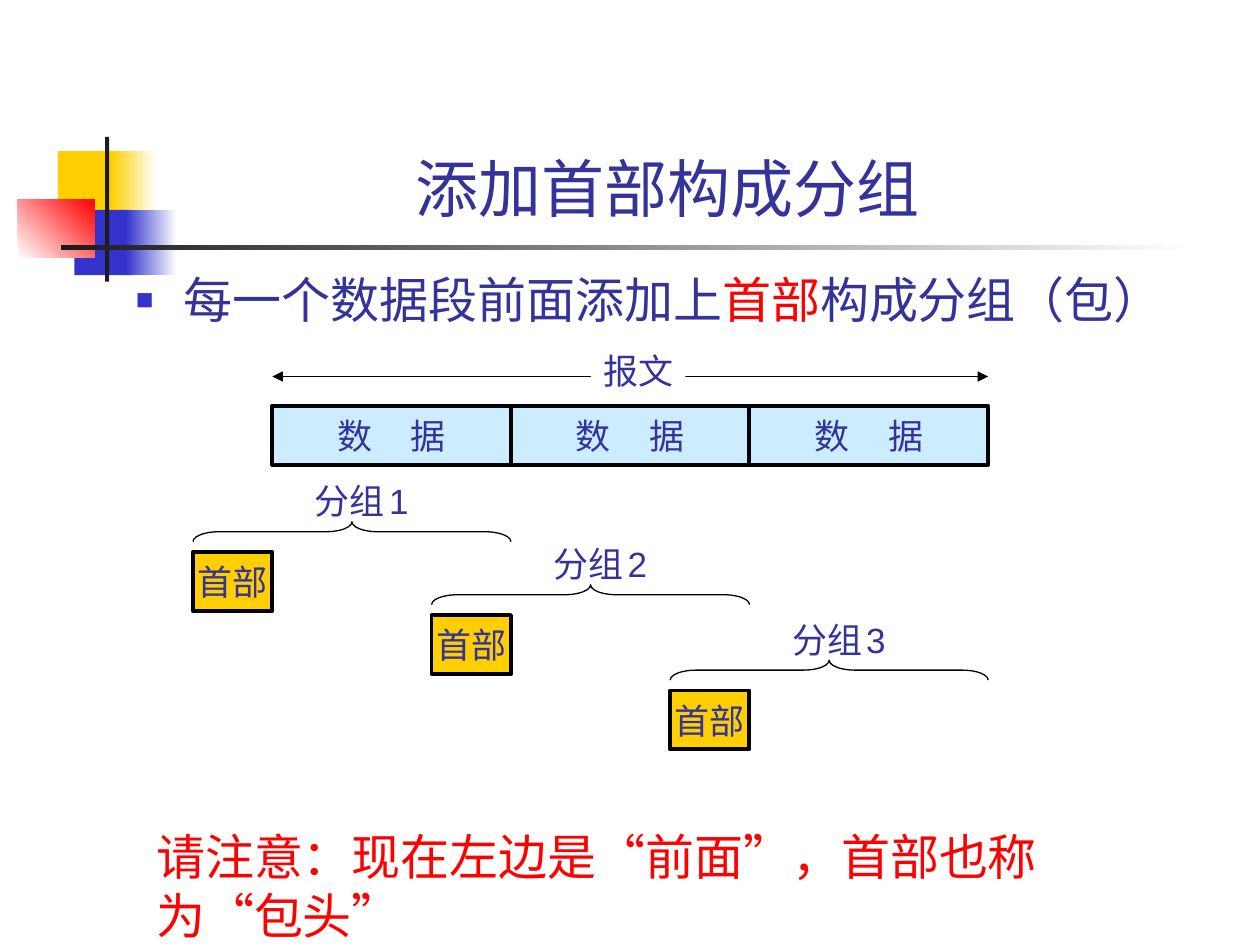
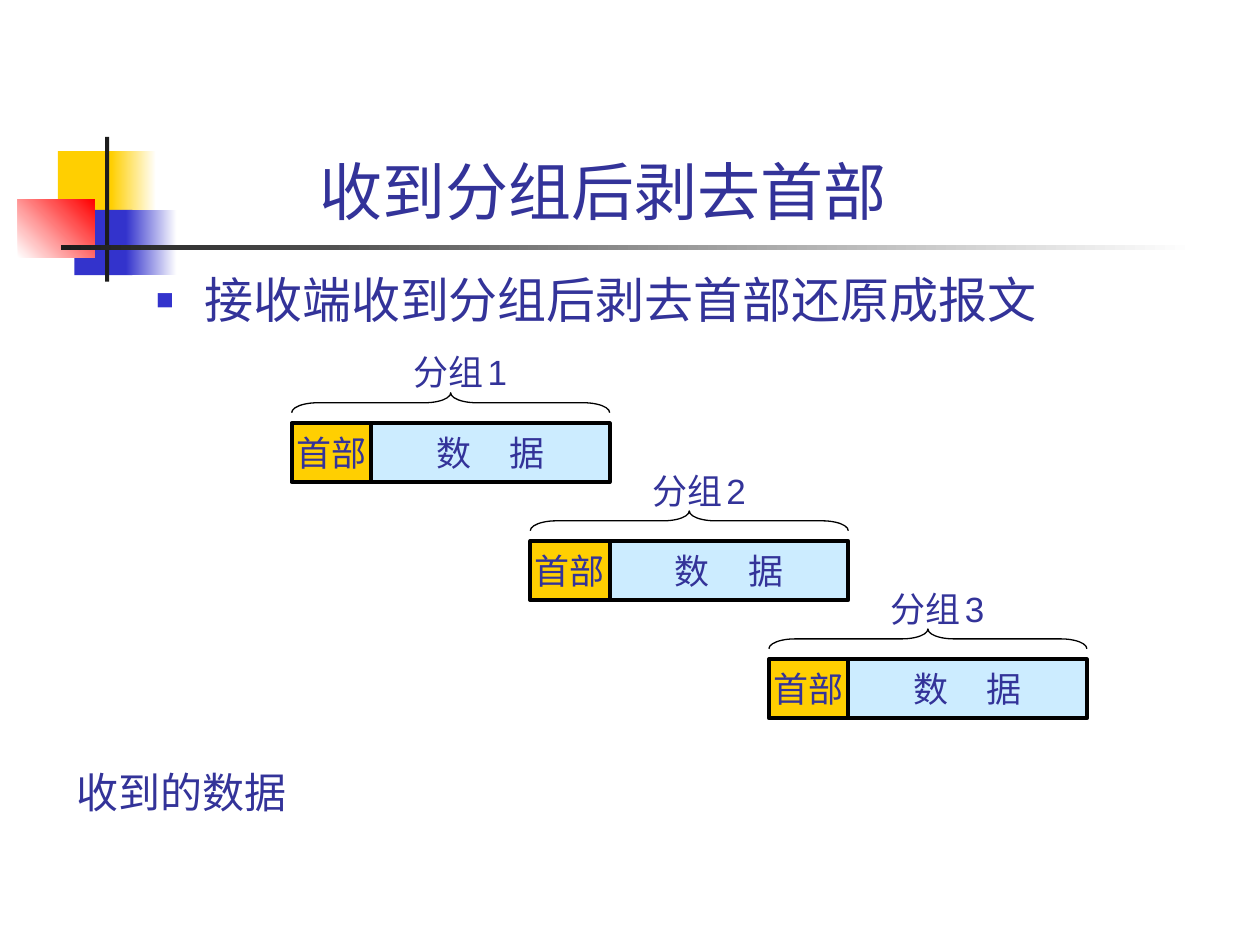
from lxml import etree
from pptx import Presentation
from pptx.dml.color import RGBColor
from pptx.enum.shapes import MSO_CONNECTOR, MSO_SHAPE
from pptx.enum.text import MSO_ANCHOR as Anchor, PP_ALIGN as Align
from pptx.oxml.ns import qn
from pptx.util import Cm, Pt

NAVY = RGBColor(0x33, 0x33, 0x99)
BLUE = RGBColor(0x33, 0x33, 0xCC)
RED = RGBColor(0xFF, 0x00, 0x00)
GOLD = RGBColor(0xFF, 0xCF, 0x01)
SKY = RGBColor(0xCC, 0xEC, 0xFF)
CHARCOAL = RGBColor(0x1C, 0x1C, 0x1C)
BLACK = RGBColor(0x00, 0x00, 0x00)
WHITE = RGBColor(0xFF, 0xFF, 0xFF)

ARIAL, KARLA, TIMES = "Arial", "Karla", "Times New Roman"

HEADER_WIDTH = 1.6
DATA_WIDTH = 4.81
BOX_HEIGHT = 1.19
BRACE_DEPTH = 0.4


def write(shape, runs, align=Align.LEFT, anchor=Anchor.TOP, wrap=True):
    """Fill the shape with one paragraph of (text, size, font, colour) runs."""
    frame = shape.text_frame
    frame.word_wrap = wrap
    frame.vertical_anchor = anchor
    paragraph = frame.paragraphs[0]
    paragraph.alignment = align
    for text, size, font, colour in runs:
        run = paragraph.add_run()
        run.text = text
        run.font.size = Pt(size)
        run.font.name = font
        run.font.color.rgb = colour
    return paragraph


def add_text(slide, left, top, width, height, runs, **layout):
    box = slide.shapes.add_textbox(Cm(left), Cm(top), Cm(width), Cm(height))
    write(box, runs, **layout)
    return box


def add_block(slide, left, top, width, height, colour, fade_to=None, angle=0):
    """Draw a borderless rectangle, plain or fading into a second colour."""
    block = slide.shapes.add_shape(
        MSO_SHAPE.RECTANGLE, Cm(left), Cm(top), Cm(width), Cm(height))
    block.shadow.inherit = False
    block.line.fill.background()
    if fade_to is None:
        block.fill.solid()
        block.fill.fore_color.rgb = colour
    else:
        block.fill.gradient()
        block.fill.gradient_angle = angle
        for stop, shade in zip(block.fill.gradient_stops, (colour, fade_to)):
            stop.color.rgb = shade
    return block


def add_decoration(slide):
    add_block(slide, 1.17, 3.05, 1.22, 1.32, GOLD)
    add_block(slide, 2.24, 3.05, 0.91, 1.32, GOLD, WHITE)
    add_block(slide, 1.5, 4.23, 1.17, 1.32, BLUE)
    add_block(slide, 2.54, 4.23, 1.02, 1.32, BLUE, WHITE)
    add_block(slide, 0.36, 4.02, 1.55, 1.17, WHITE, RED, angle=45)
    add_block(slide, 2.12, 2.76, 0.08, 2.92, CHARCOAL)
    add_block(slide, 1.23, 4.94, 22.86, 0.1, CHARCOAL, WHITE)


def add_title(slide, text, width, bottom):
    top = 0.58
    add_text(slide, 3.2, top, width, bottom - top, [(text, 36, ARIAL, NAVY)],
             align=Align.CENTER, anchor=Anchor.BOTTOM)


def add_bullet(slide, left, width, height, parts):
    box = slide.shapes.add_textbox(Cm(left), Cm(5.31), Cm(width), Cm(height))
    properties = box.text_frame.paragraphs[0]._p.get_or_add_pPr()
    properties.set("marL", str(Cm(0.97)))
    properties.set("indent", str(-Cm(0.97)))
    colour = etree.SubElement(properties, qn("a:buClr"))
    etree.SubElement(colour, qn("a:srgbClr"), val=str(BLUE))
    etree.SubElement(properties, qn("a:buSzPct"), val="60000")
    etree.SubElement(properties, qn("a:buFont"), typeface=ARIAL)
    etree.SubElement(properties, qn("a:buChar"), char="■")
    write(box, [(text, 28, ARIAL, shade) for text, shade in parts])


def add_box(slide, left, top, width, fill, words):
    box = add_block(slide, left, top, width, BOX_HEIGHT, fill)
    box.line.color.rgb = BLACK
    box.line.width = Pt(2.25)
    return write(box, [(word, 20, KARLA, NAVY) for word in words],
                 align=Align.CENTER, anchor=Anchor.MIDDLE, wrap=False)


def add_data(slide, left, top):
    paragraph = add_box(slide, left, top, DATA_WIDTH, SKY, ["数", " ", "据"])
    paragraph.runs[1].font._element.set("spc", "1750")


def add_brace(slide, left, top, width):
    """Draw a brace that opens downwards: a left brace turned by 90 degrees."""
    brace = slide.shapes.add_shape(
        MSO_SHAPE.LEFT_BRACE,
        Cm(left + (width - BRACE_DEPTH) / 2), Cm(top - (width - BRACE_DEPTH) / 2),
        Cm(BRACE_DEPTH), Cm(width))
    brace.rotation = 90
    brace.adjustments[0] = 1.31
    brace.shadow.inherit = False
    brace.fill.background()
    brace.line.color.rgb = BLACK
    brace.line.width = Pt(0.75)


def add_packet(slide, number, left, top, with_data):
    """Draw a header box, its data if wanted, and the labelled brace above."""
    if with_data:
        add_data(slide, left + HEADER_WIDTH, top)
    add_box(slide, left, top, HEADER_WIDTH, GOLD, ["首部"])
    brace_top = top - 0.61
    add_brace(slide, left, brace_top, HEADER_WIDTH + DATA_WIDTH)
    label = [("分组", 20, KARLA, NAVY), (" ", 10, ARIAL, NAVY),
             (str(number), 20, ARIAL, NAVY)]
    add_text(slide, left + 2.21, brace_top - 0.97, 2.57, 1.12, label, wrap=False)


def add_message_span(slide, left, right, y):
    """Draw the double arrow with its label in the middle."""
    arrow = slide.shapes.add_connector(
        MSO_CONNECTOR.STRAIGHT, Cm(left), Cm(y), Cm(right), Cm(y))
    arrow.line.color.rgb = BLACK
    arrow.line.width = Pt(0.75)
    line = arrow.line._get_or_add_ln()
    for end in ("a:headEnd", "a:tailEnd"):
        etree.SubElement(line, qn(end), type="triangle")
    etree.SubElement(arrow._element.spPr, qn("a:effectLst"))
    label = add_text(slide, 11.91, y - 0.66, 1.91, 1.12,
                     [("报文", 20, TIMES, NAVY)], align=Align.CENTER, wrap=False)
    label.text_frame.margin_left = label.text_frame.margin_right = 0
    label.fill.solid()
    label.fill.fore_color.rgb = WHITE


def add_slide(presentation):
    slide = presentation.slides.add_slide(presentation.slide_layouts[6])
    add_decoration(slide)
    return slide


def build_adding_headers(presentation):
    slide = add_slide(presentation)
    message_left = 5.49
    for index in range(3):
        add_data(slide, message_left + index * DATA_WIDTH, 8.18)
    add_message_span(slide, message_left, message_left + 3 * DATA_WIDTH, 7.59)
    add_title(slide, "添加首部构成分组", 20.5, 4.67)
    add_bullet(slide, 2.49, 22, 11.43, [
        ("每一个数据段前面添加上", NAVY), ("首部", RED), ("构成分组（包）", NAVY)])
    for index, top in enumerate((11.13, 12.4, 13.92)):
        left = message_left - HEADER_WIDTH + index * DATA_WIDTH
        add_packet(slide, index + 1, left, top, with_data=False)
    note = ["请注意：现在左边是", "“", "前面", "”", "，首部也称为", "“", "包头", "”"]
    add_text(slide, 2.9, 16.54, 20.6, 2.64, [
        (part, 28, ARIAL if part in "“”" else KARLA, RED) for part in note])


def build_removing_headers(presentation):
    slide = add_slide(presentation)
    add_title(slide, "收到分组后剥去首部", 17.91, 4.72)
    add_bullet(slide, 2.9, 21.82, 2.79, [("接收端收到分组后剥去首部还原成报文", NAVY)])
    for index in range(3):
        add_packet(slide, index + 1, 5.88 + index * DATA_WIDTH,
                   8.53 + index * 2.38, with_data=True)
    add_text(slide, 1.3, 15.32, 5.59, 1.27, [("收到的数据", 24, KARLA, NAVY)])


def main():
    presentation = Presentation()
    presentation.slide_width = Cm(25.4)
    presentation.slide_height = Cm(19.05)
    build_adding_headers(presentation)
    build_removing_headers(presentation)
    presentation.save("out.pptx")


if __name__ == "__main__":
    main()
